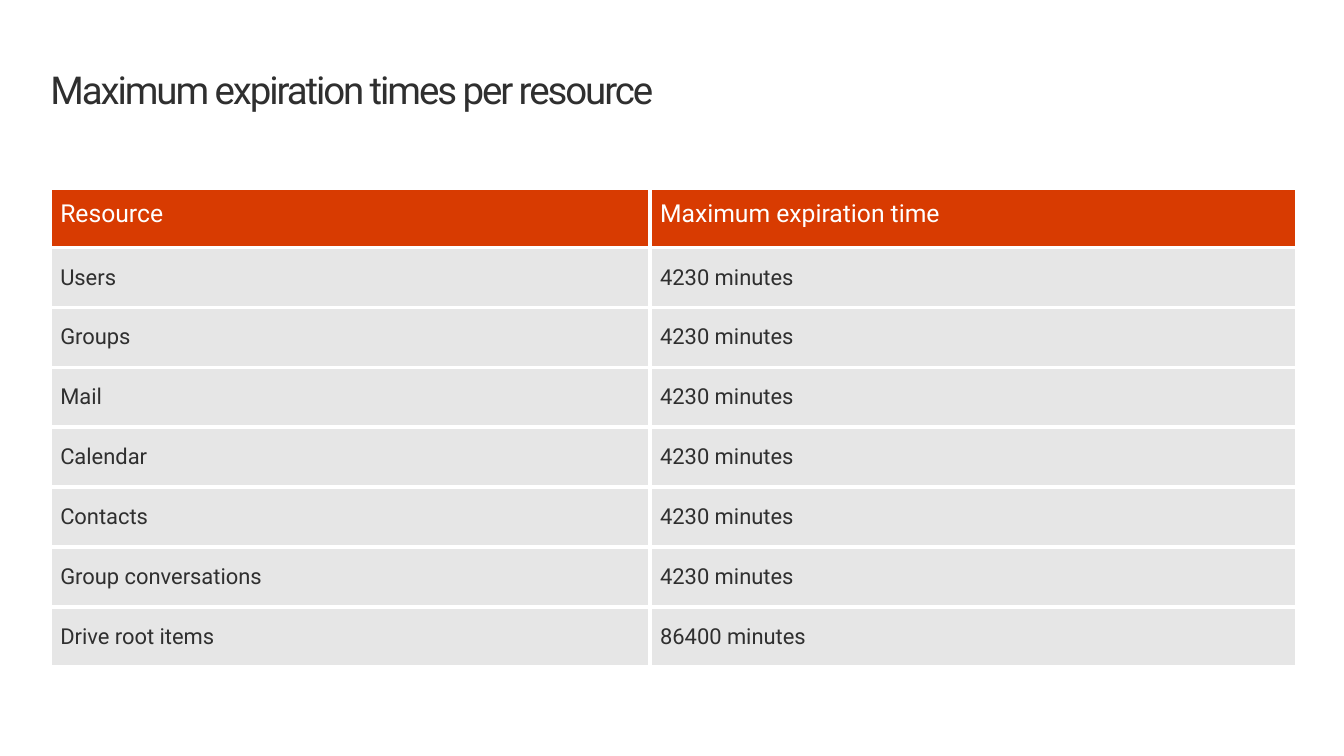
from dataclasses import dataclass

from lxml.etree import SubElement
from pptx import Presentation
from pptx.dml.color import RGBColor
from pptx.enum.text import MSO_ANCHOR, MSO_AUTO_SIZE, PP_ALIGN
from pptx.oxml.ns import qn
from pptx.util import Inches, Pt


@dataclass(frozen=True)
class Theme:
    font: str = "Roboto"
    ink: RGBColor = RGBColor(0x2F, 0x2F, 0x2F)
    white: RGBColor = RGBColor(0xFF, 0xFF, 0xFF)
    accent: RGBColor = RGBColor(0xD8, 0x3B, 0x01)
    row_fill: RGBColor = RGBColor(0xE6, 0xE6, 0xE6)
    title_size: Pt = Pt(28)
    header_size: Pt = Pt(18)
    body_size: Pt = Pt(16)
    border_width: Pt = Pt(3)


THEME = Theme()
TITLE = "Maximum expiration times per resource"
HEADER = ("Resource", "Maximum expiration time")
EXPIRATION_MINUTES = {
    "Users": 4230,
    "Groups": 4230,
    "Mail": 4230,
    "Calendar": 4230,
    "Contacts": 4230,
    "Group conversations": 4230,
    "Drive root items": 86400,
}


def set_attributes(target, values):
    for name, value in values.items():
        setattr(target, name, value)


def write_text(paragraph, text, size, color):
    run = paragraph.add_run()
    run.text = text
    set_attributes(run.font, {"name": THEME.font, "size": size, "bold": False})
    run.font.color.rgb = color
    return run


def add_borders(cell):
    """Draw all four cell borders; call before the fill, which must follow them."""
    properties = cell._tc.get_or_add_tcPr()
    for side in ("lnL", "lnR", "lnT", "lnB"):
        line = SubElement(properties, qn(f"a:{side}"), w=str(THEME.border_width))
        fill = SubElement(line, qn("a:solidFill"))
        SubElement(fill, qn("a:srgbClr"), val=str(THEME.white))


def place_title(slide, left, top, width, height):
    title = slide.shapes.title
    set_attributes(title, {"left": left, "top": top, "width": width, "height": height})
    set_attributes(title.text_frame, {
        "margin_left": 0, "margin_right": 0, "margin_top": 0, "margin_bottom": 0,
        "word_wrap": True, "vertical_anchor": MSO_ANCHOR.TOP,
        "auto_size": MSO_AUTO_SIZE.SHAPE_TO_FIT_TEXT,
    })
    paragraph = title.text_frame.paragraphs[0]
    set_attributes(paragraph, {"alignment": PP_ALIGN.LEFT, "line_spacing": Pt(32)})
    run = write_text(paragraph, TITLE, THEME.title_size, THEME.ink)
    run._r.get_or_add_rPr().set("spc", "-150")


def place_table(slide, left, top, width, height):
    rows = [HEADER] + [
        (resource, f"{minutes} minutes") for resource, minutes in EXPIRATION_MINUTES.items()
    ]
    table = slide.shapes.add_table(len(rows), len(HEADER), left, top, width, height).table
    table.horz_banding = False
    resource_width = Inches(6.07)
    table.columns[0].width = resource_width
    table.columns[1].width = width - resource_width
    for row_index, texts in enumerate(rows):
        is_header = row_index == 0
        for column_index, text in enumerate(texts):
            cell = table.cell(row_index, column_index)
            cell.vertical_anchor = MSO_ANCHOR.MIDDLE
            add_borders(cell)
            cell.fill.solid()
            cell.fill.fore_color.rgb = THEME.accent if is_header else THEME.row_fill
            paragraph = cell.text_frame.paragraphs[0]
            if is_header:
                paragraph.line_spacing = Pt(16)
                write_text(paragraph, text, THEME.header_size, THEME.white)
            else:
                write_text(paragraph, text, THEME.body_size, THEME.ink)


def main():
    presentation = Presentation()
    set_attributes(presentation, {"slide_width": Inches(13.6), "slide_height": Inches(7.65)})
    slide = presentation.slides.add_slide(presentation.slide_layouts[5])
    left, width = Inches(0.51), Inches(12.61)
    place_title(slide, left, Inches(0.69), width, Inches(0.45))
    place_table(slide, left, Inches(1.9), width, Inches(4.85))
    presentation.save("out.pptx")


if __name__ == "__main__":
    main()
